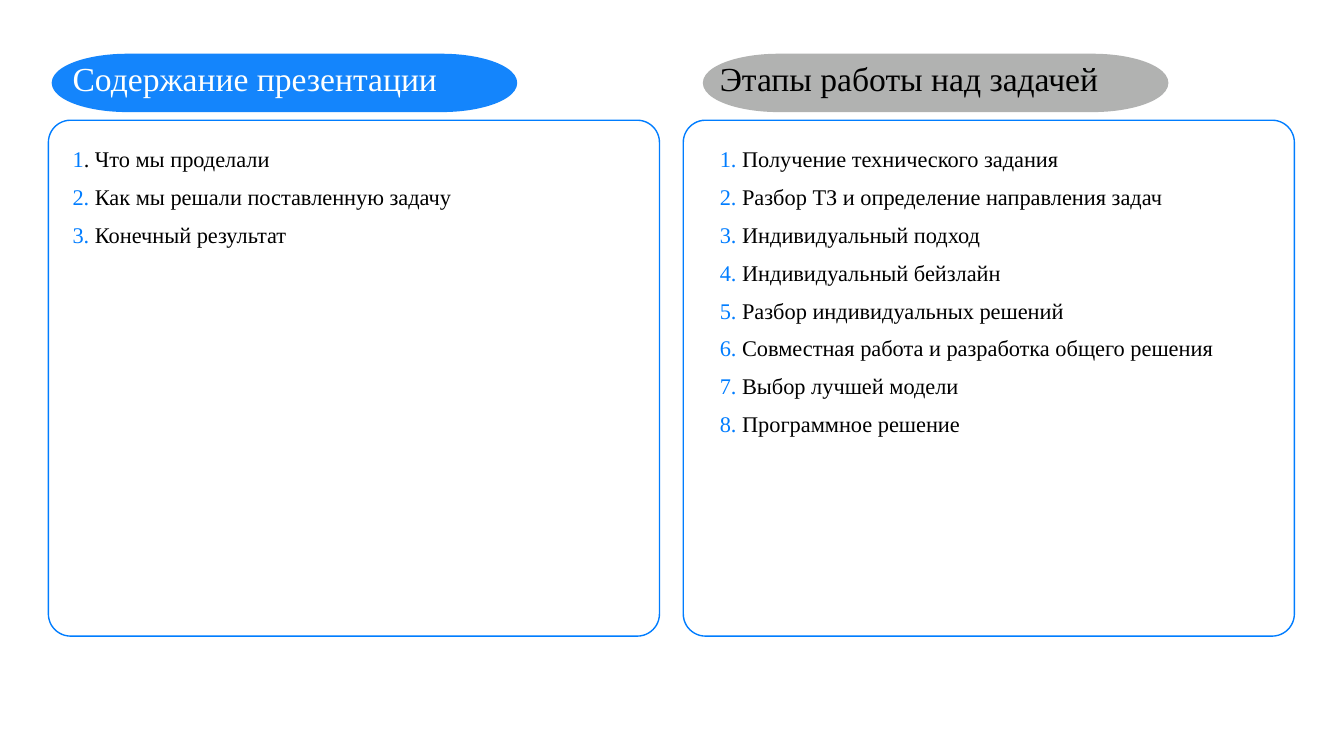
import pptx
import pptx.util
import pptx.dml.color
import pptx.enum.shapes

Cm = pptx.util.Cm
Pt = pptx.util.Pt
RGBColor = pptx.dml.color.RGBColor
Shape = pptx.enum.shapes.MSO_SHAPE

BLUE = RGBColor(0x00, 0x7D, 0xFF)
AZURE = RGBColor(0x14, 0x85, 0xFC)
GRAY = RGBColor(0xB1, 0xB2, 0xB1)
WHITE = RGBColor(0xFE, 0xFF, 0xFE)
BLACK = RGBColor(0x00, 0x00, 0x00)
FONT = "Times New Roman"

GOALS = [
    ("1", ". Что мы проделали"),
    ("2.", " Как мы решали поставленную задачу"),
    ("3.", " Конечный результат"),
]
STEPS = [(f"{num}.", f" {step}") for num, step in enumerate([
    "Получение технического задания",
    "Разбор ТЗ и определение направления задач",
    "Индивидуальный подход",
    "Индивидуальный бейзлайн",
    "Разбор индивидуальных решений",
    "Совместная работа и разработка общего решения",
    "Выбор лучшей модели",
    "Программное решение",
], 1)]


def style(run, size, color):
    run.font.name = FONT
    run.font.size = Pt(size)
    run.font.color.rgb = color


def add_text(slide, left, top, width, height):
    frame = slide.shapes.add_textbox(left, top, width, height).text_frame
    frame.word_wrap = True
    frame.margin_left = frame.margin_right = 0
    frame.margin_top = frame.margin_bottom = 0
    return frame


def add_frame(slide, left, top, width, height):
    frame = slide.shapes.add_shape(Shape.ROUNDED_RECTANGLE, left, top, width, height)
    frame.adjustments[0] = 0.043
    frame.shadow.inherit = False
    frame.fill.background()
    frame.line.color.rgb = BLUE
    frame.line.width = Pt(1)


def add_title(slide, left, top, inset, title, fill, color):
    pill = slide.shapes.add_shape(
        Shape.FLOWCHART_TERMINATOR, left, top, Cm(11.66), Cm(1.4))
    pill.shadow.inherit = False
    pill.fill.solid()
    pill.fill.fore_color.rgb = fill
    pill.line.color.rgb = fill
    pill.line.width = Pt(2)
    frame = add_text(slide, left + inset, top + Cm(0.08), Cm(14.2), Cm(1))
    frame.text = title
    style(frame.paragraphs[0].runs[0], 24, color)


def add_list(slide, left, top, width, height, items):
    frame = add_text(slide, left, top, width, height)
    for index, (mark, label) in enumerate(items):
        para = frame.add_paragraph() if index else frame.paragraphs[0]
        if index:
            para.space_before = Pt(7.8)
        para.text = mark
        style(para.runs[0], 16, BLUE)
        tail = para.add_run()
        tail.text = label
        style(tail, 16, BLACK)


def add_panel(slide, left, top, width, height, shift, inset,
              title, fill, color, items):
    add_frame(slide, left, top, width, height)
    add_title(slide, left + shift, top - Cm(1.64), inset - shift, title, fill, color)
    add_list(slide, left + inset, top + Cm(0.64), Cm(14.2), height - Cm(1.28), items)


def main():
    deck = pptx.Presentation()
    deck.slide_width = Cm(33.87)
    deck.slide_height = Cm(19.05)
    slide = deck.slides.add_slide(deck.slide_layouts[6])
    top, width, height = Cm(3.03), Cm(15.4), Cm(13)
    add_panel(slide, Cm(1.22), top, width, height, Cm(0.12), Cm(0.61),
              "Содержание презентации", AZURE, WHITE, GOALS)
    add_panel(slide, Cm(17.22), top, width, height, Cm(0.53), Cm(0.92),
              "Этапы работы над задачей", GRAY, BLACK, STEPS)
    deck.save("out.pptx")


if __name__ == "__main__":
    main()
